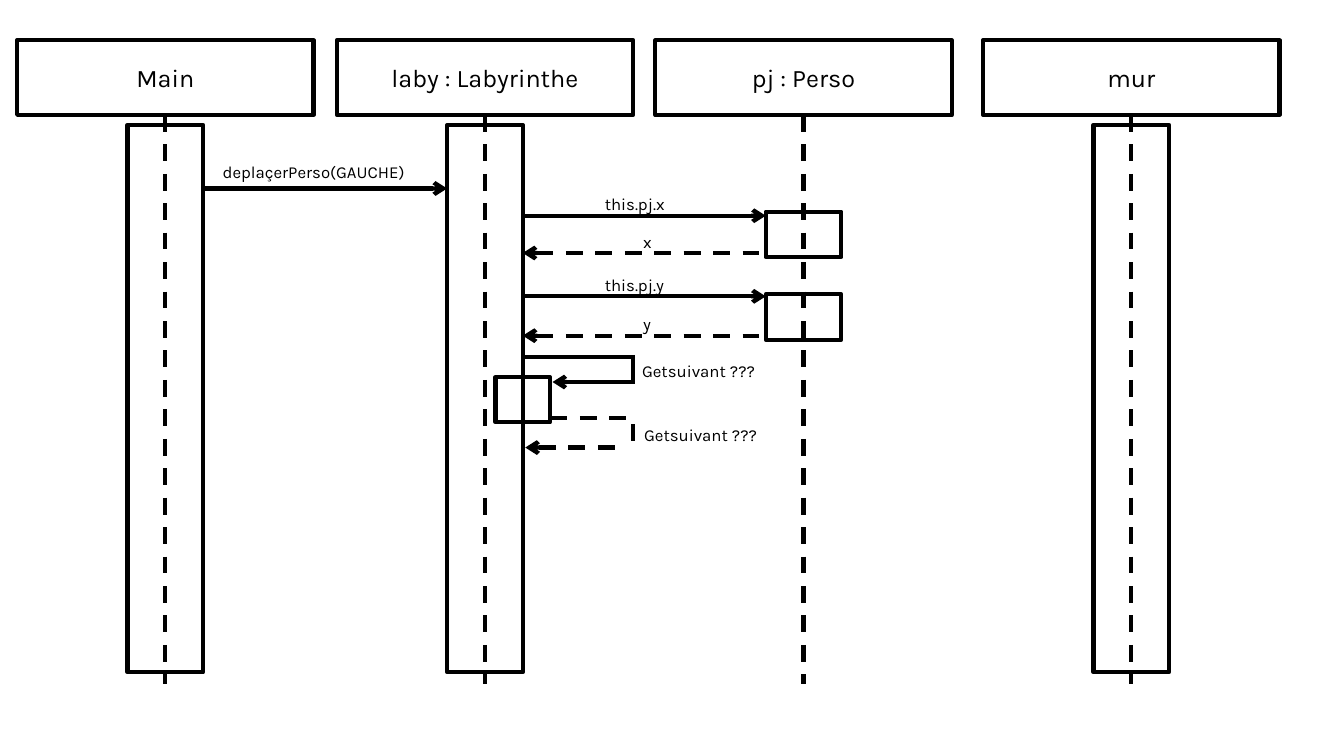
from pptx import Presentation
from pptx import util as u
from pptx.dml import color
from pptx.enum import dml, shapes, text
from pptx.oxml import ns, xmlchemy

# The grid has square cells; every length below counts cells.
CELL = u.Inches(0.1)
COLUMNS, ROWS = 133.3, 75
INK, PAPER = "000000", "FFFFFF"
FONT = "Karla"

HEADER_TOP, HEADER_WIDTH, HEADER_HEIGHT = 4, 29.4, 7.4
LIFELINE_END = 67.9
BAR_TOP, BAR_WIDTH, BAR_HEIGHT = 12.4, 7.5, 54.3
CALL_HEIGHT = 4.5
LABEL_WIDTH, LABEL_HEIGHT = 20.3, 3

MAIN, LABY, PJ, MUR = 16.4, 48.1, 79.7, 112.2
PARTICIPANTS = [
    ("Main", MAIN),
    ("laby : Labyrinthe", LABY),
    ("pj : Perso", PJ),
    ("mur", MUR),
]


def cells(count):
    return round(count * CELL)


def rgb(hex_color):
    return color.RGBColor.from_string(hex_color)


def set_stroke(line):
    line.color.rgb = rgb(INK)
    line.width = u.Pt(3)


def format_text(frame, size, alignment):
    for paragraph in frame.paragraphs:
        paragraph.alignment = alignment
        for run in paragraph.runs:
            run.font.name = FONT
            run.font.size = u.Pt(size)
            run.font.color.rgb = rgb(INK)


def add_box(slide, center, top, width, height, fill=None):
    """Add an outlined rectangle centred on a column."""
    box = slide.shapes.add_shape(
        shapes.MSO_SHAPE.RECTANGLE,
        cells(center - width / 2), cells(top), cells(width), cells(height))
    box.shadow.inherit = False
    set_stroke(box.line)
    if fill:
        box.fill.solid()
        box.fill.fore_color.rgb = rgb(fill)
    else:
        box.fill.background()
    return box


def add_header(slide, name, center):
    header = add_box(slide, center, HEADER_TOP, HEADER_WIDTH, HEADER_HEIGHT, PAPER)
    header.text_frame.text = name
    header.text_frame.vertical_anchor = text.MSO_ANCHOR.MIDDLE
    format_text(header.text_frame, 18, text.PP_ALIGN.CENTER)


def add_line(slide, start, end, dashed=False, arrow=None):
    """Join two (column, row) points; arrow is "headEnd" (start) or "tailEnd" (end)."""
    line = slide.shapes.add_connector(
        shapes.MSO_CONNECTOR.STRAIGHT, *map(cells, (*start, *end)))
    set_stroke(line.line)
    if dashed:
        line.line.dash_style = dml.MSO_LINE.DASH
    if arrow:
        tip = xmlchemy.OxmlElement(f"a:{arrow}")
        tip.set("type", "arrow")
        line.line._get_or_add_ln().append(tip)
    properties = line._element.find(ns.qn("p:spPr"))
    properties.append(xmlchemy.OxmlElement("a:effectLst"))


def add_label(slide, wording, left, top):
    label = slide.shapes.add_textbox(
        cells(left), cells(top), cells(LABEL_WIDTH), cells(LABEL_HEIGHT))
    label.text_frame.word_wrap = True
    label.text_frame.text = wording
    format_text(label.text_frame, 12, text.PP_ALIGN.LEFT)


def add_participants(slide):
    for name, center in PARTICIPANTS:
        add_header(slide, name, center)
    for _, center in PARTICIPANTS:
        add_line(slide, (center, HEADER_TOP + HEADER_HEIGHT),
                 (center, LIFELINE_END), dashed=True)
    for center in (MAIN, LABY, MUR):
        add_box(slide, center, BAR_TOP, BAR_WIDTH, BAR_HEIGHT)


def add_query(slide, field, top, call_row, call_label_top, reply_label_top):
    """Add a call from the labyrinth to the character, with its reply."""
    left, right = LABY + BAR_WIDTH / 2, PJ - BAR_WIDTH / 2
    reply_row = top + 4.1
    add_box(slide, PJ, top, BAR_WIDTH, CALL_HEIGHT)
    add_line(slide, (left, call_row), (right, call_row), arrow="tailEnd")
    add_label(slide, f"this.pj.{field}", 59, call_label_top)
    add_line(slide, (left, reply_row), (right, reply_row), dashed=True, arrow="headEnd")
    add_label(slide, field, 62.8, reply_label_top)


def add_self_call(slide):
    edge, turn = LABY + BAR_WIDTH / 2, 62.8
    add_box(slide, edge, 37.4, 5.4, CALL_HEIGHT)
    add_line(slide, (edge, 35.4), (turn, 35.4))
    add_line(slide, (turn, 35.2), (turn, 38.1))
    add_line(slide, (54.8, 37.9), (63, 37.9), arrow="headEnd")
    add_label(slide, "Getsuivant ???", 62.7, 35.3)
    add_line(slide, (54.6, 41.5), (turn, 41.5), dashed=True)
    add_line(slide, (turn, 42.1), (turn, 44.9), dashed=True)
    add_line(slide, (52.1, 44.4), (62.1, 44.4), dashed=True, arrow="headEnd")
    add_label(slide, "Getsuivant ???", 62.9, 41.6)


def main():
    presentation = Presentation()
    presentation.slide_width = cells(COLUMNS)
    presentation.slide_height = cells(ROWS)
    slide = presentation.slides.add_slide(presentation.slide_layouts[6])

    add_participants(slide)
    add_line(slide, (MAIN + BAR_WIDTH / 2, 18.7), (LABY - BAR_WIDTH / 2, 18.7),
             arrow="tailEnd")
    add_label(slide, "deplaçerPerso(GAUCHE)", 21.1, 15.6)
    add_query(slide, "x", 21, 21.4, 18.7, 22.5)
    add_query(slide, "y", 29.2, 29.4, 26.8, 30.6)
    add_self_call(slide)

    presentation.save("out.pptx")


if __name__ == "__main__":
    main()
